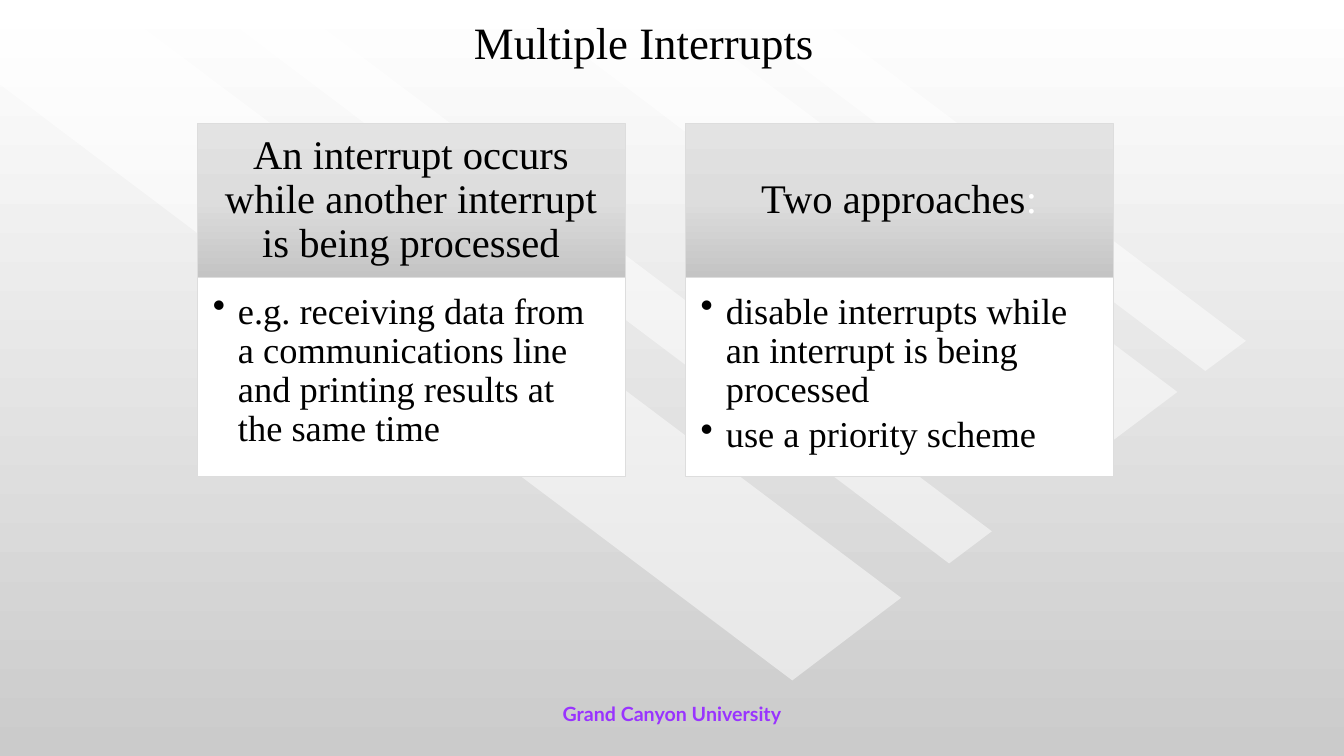
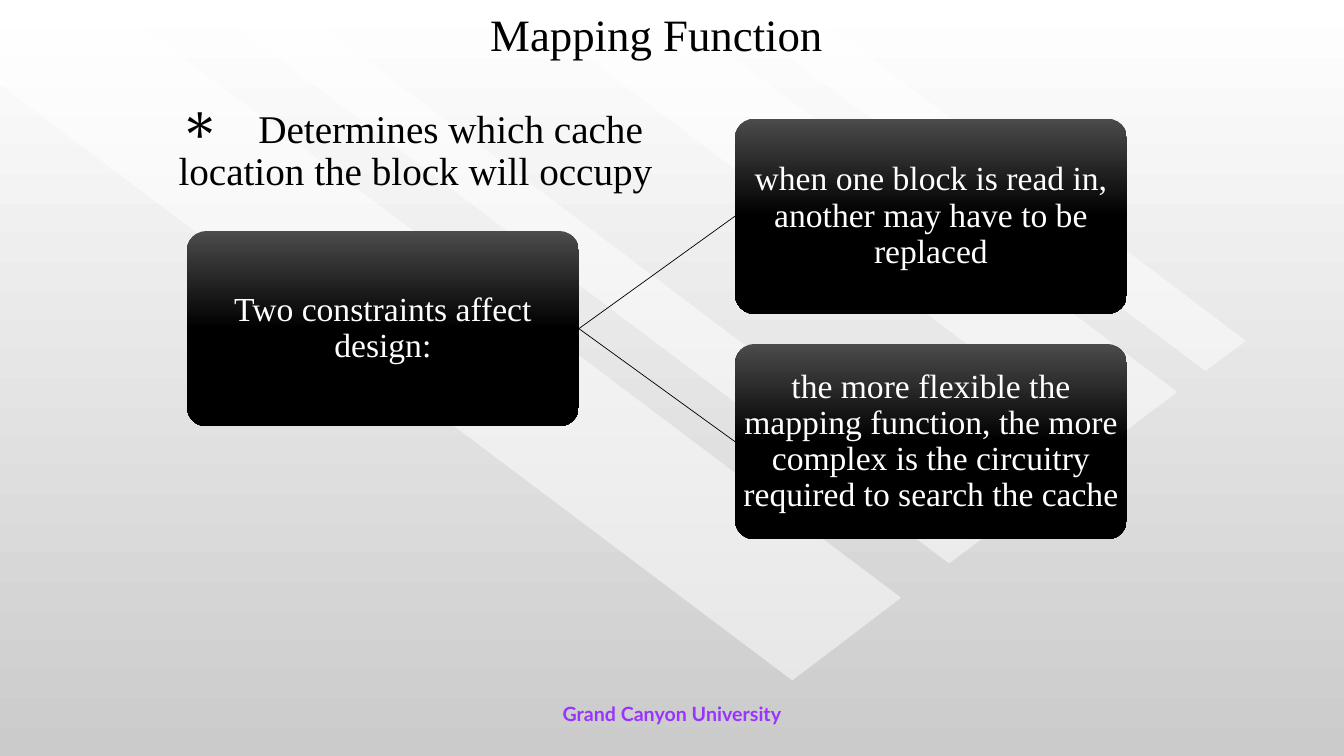
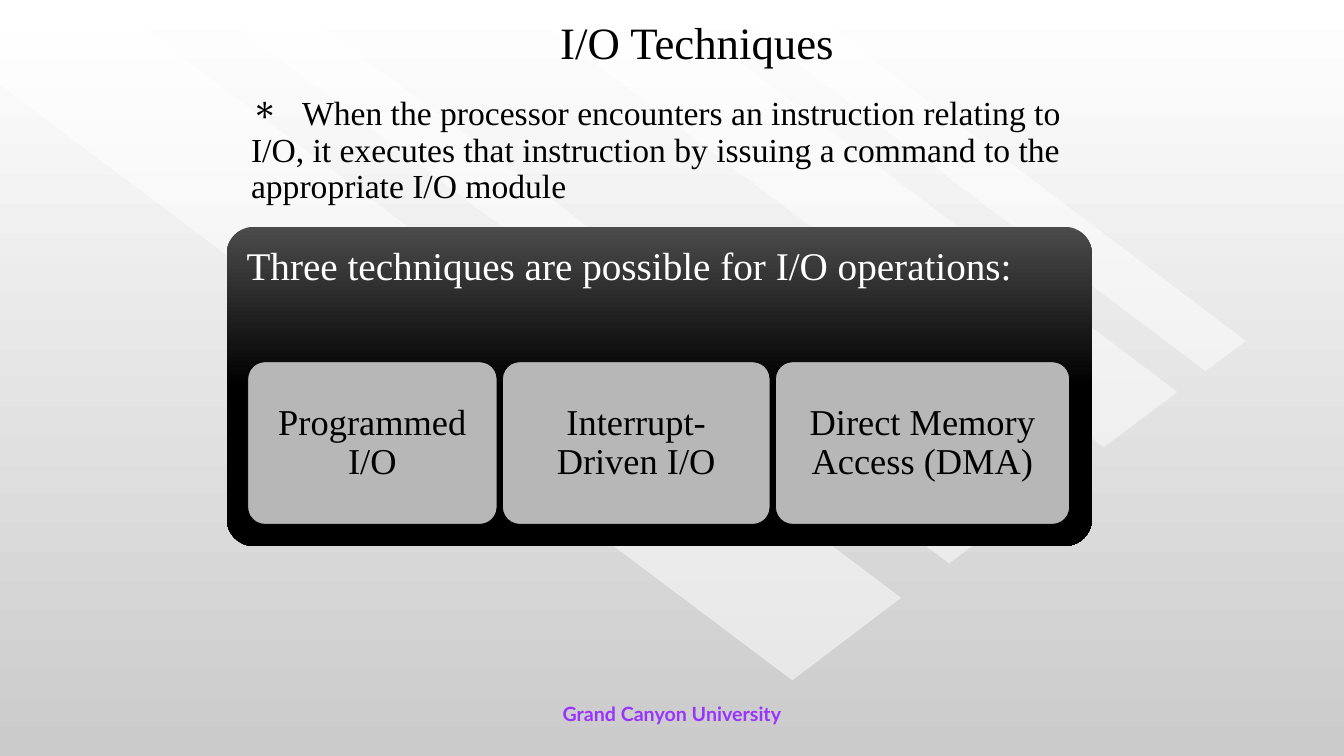
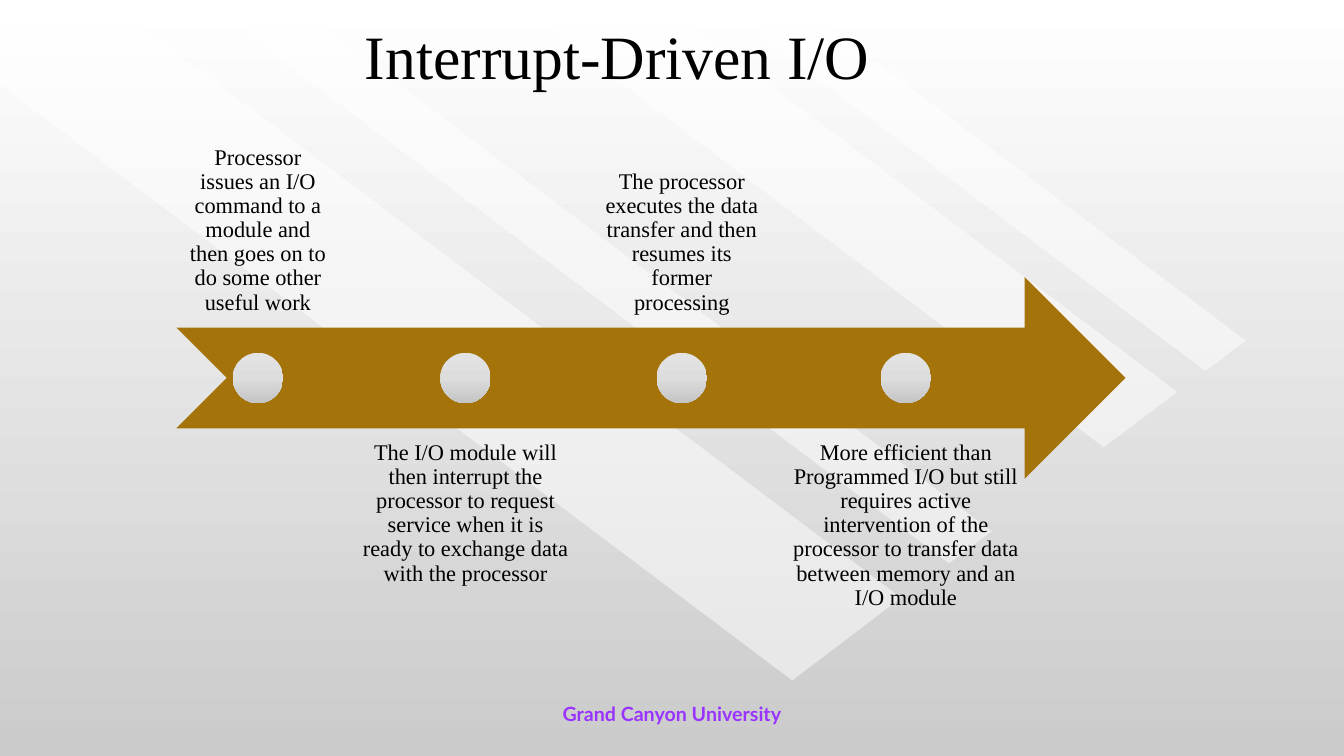
from copy import deepcopy

from pptx import Presentation
from pptx.dml.color import RGBColor
from pptx.enum import shapes, text
from pptx.oxml.ns import qn
from pptx.util import Pt

# Shared look
FONT = "Times New Roman"
BLACK, WHITE, SILVER = "000000", "FFFFFF", "CBCBCB"
EDGE, GOLD, PURPLE = "DDDDDD", "A4740A", "9933FF"
PAGE = [(0, WHITE), (1, SILVER)]
LIGHT = [(0, "E3E3E3"), (0.5, EDGE), (1, "C4C4C4")]
DARK = [(0, "4B4B4B"), (0.5, BLACK), (1, BLACK)]
BANDS = [
    [(643.7, 427), (76.3, 0), (0, 0), (0, 60.5), (566, 486)],
    [(205, 0), (708.5, 379.5), (678, 402.5), (143.5, 0)],
    [(469.5, 0), (841, 280), (788.5, 319.5), (364.5, 0)],
    [(509, 0), (861, 265), (890, 243.5), (567.5, 0)],
]
KIND = shapes.MSO_SHAPE
TOP, MID, LOW = text.MSO_ANCHOR.TOP, text.MSO_ANCHOR.MIDDLE, text.MSO_ANCHOR.BOTTOM
LEFT, MIDDLE = text.PP_ALIGN.LEFT, text.PP_ALIGN.CENTER


def color(code):
    return RGBColor.from_string(code)


# Fills
def shade(part, fill, stops):
    """Fill from top to bottom with any number of stops."""
    fill.gradient()
    fill.gradient_angle = 270
    items = next(part.element.iter(qn("a:gsLst")))
    while len(items) < len(stops):
        items.append(deepcopy(items[-1]))
    for stop, (place, code) in zip(fill.gradient_stops, stops):
        stop.position = place
        stop.color.rgb = color(code)


def paint(shape, fill, line=None, alpha=None):
    shape.shadow.inherit = False
    if isinstance(fill, list):
        shade(shape, shape.fill, fill)
    else:
        shape.fill.solid()
        shape.fill.fore_color.rgb = color(fill)
    if alpha:
        tone = next(shape.element.spPr.iter(qn("a:srgbClr")))
        add(tone, "a:alpha", val=alpha * 1000)
    if line:
        shape.line.color.rgb = color(line)
        shape.line.width = Pt(0.5)
    else:
        shape.line.fill.background()


# Text
def add(parent, tag, **values):
    child = parent.makeelement(qn(tag), {k: str(v) for k, v in values.items()})
    parent.append(child)
    return child


def style(run, size, tone=BLACK, font=FONT, bold=False):
    run.font.size = Pt(size)
    run.font.name = font
    run.font.bold = bold
    run.font.color.rgb = color(tone)


def write(shape, words, size, tone=BLACK, ins=(7.2, 3.6, 7.2, 3.6),
          anchor=MID, align=MIDDLE, space=0.9, after=0):
    """Set the text, one paragraph a line, and return its paragraphs."""
    frame = shape.text_frame
    frame.text = words
    frame.word_wrap = True
    frame.vertical_anchor = anchor
    (frame.margin_left, frame.margin_top,
     frame.margin_right, frame.margin_bottom) = map(Pt, ins)
    for para in frame.paragraphs:
        para.alignment = align
        para.line_spacing = space
        para.space_after = Pt(after)
        for run in para.runs:
            style(run, size, tone)
    return frame.paragraphs


def bullet(para, sign, hang=0, scale=100, tab=None):
    props = para._p.get_or_add_pPr()
    props.set("marL", str(Pt(hang)))
    props.set("indent", str(-Pt(hang)))
    add(props, "a:buSzPct", val=scale * 1000)
    add(props, "a:buChar", char=sign)
    if tab:
        add(add(props, "a:tabLst"), "a:tab", pos=Pt(tab), algn="l")


# Elements
def label(slide, at, words, size, **look):
    box = slide.shapes.add_textbox(*map(Pt, at))
    write(box, words, size, **look)
    return box


def block(slide, kind, at, fill, line=None, alpha=None, bend=None):
    shape = slide.shapes.add_shape(kind, *map(Pt, at))
    if bend:
        shape.adjustments[0] = bend
    paint(shape, fill, line, alpha)
    return shape


def lead(slide, at, words, size, first, tab, ins):
    """Text whose first line opens with a star and a tab."""
    box = label(slide, at, "\t", first, ins=ins, align=LEFT)
    para = box.text_frame.paragraphs[0]
    bullet(para, "∗", scale=150, tab=tab)
    run = para.add_run()
    run.text = words
    style(run, size)


def join(slide, start, end):
    line = slide.shapes.add_connector(shapes.MSO_CONNECTOR.STRAIGHT, 0, 0, 0, 0)
    line.begin_connect(start, 3)
    line.end_connect(end, 1)
    line.line.color.rgb = color(BLACK)
    line.line.width = Pt(0.5)
    add(line.element.spPr, "a:effectLst")


def backdrop(deck, slide):
    """Give the master its shading and its slanted bands."""
    master = deck.slide_master
    shade(master, master.background.fill, PAGE)
    for points in BANDS:
        start, *rest = [(Pt(x), Pt(y)) for x, y in points]
        path = slide.shapes.build_freeform(*start)
        path.add_line_segments(rest, close=True)
        band = path.convert_to_shape()
        paint(band, WHITE, alpha=50)
        master.shapes.element.append(band.element)


def page(deck, title, at, size=32):
    slide = deck.slides.add_slide(deck.slide_layouts[6])
    label(slide, at, title, size, space=1)
    foot = label(slide, (328, 492, 304, 36), "Grand Canyon University", 14, space=1)
    foot.text_frame.word_wrap = False
    style(foot.text_frame.paragraphs[0].runs[0], 14, PURPLE, "Lato", True)
    return slide


# Slides
def multiple(deck):
    slide = page(deck, "Multiple Interrupts", (310, 12, 300, 36))
    cards = [
        ("An interrupt occurs while another interrupt is being processed", "",
         "e.g. receiving data from a communications line and printing results "
         "at the same time"),
        ("Two approaches", ":",
         "disable interrupts while an interrupt is being processed\n"
         "use a priority scheme"),
    ]
    for i, (head, tail, body) in enumerate(cards):
        x = 141 + 348.5 * i
        top = block(slide, KIND.RECTANGLE, (x, 88, 305.5, 110), LIGHT, EDGE)
        para = write(top, head, 29, ins=(16.5, 9.5, 16.5, 9.5))[0]
        if tail:
            run = para.add_run()
            run.text = tail
            style(run, 29, WHITE)
        base = block(slide, KIND.RECTANGLE, (x, 198, 305.5, 142.5), WHITE, EDGE)
        for para in write(base, body, 26, ins=(11, 11, 14.5, 16.5),
                          anchor=TOP, align=LEFT, after=4):
            bullet(para, "•", hang=18)


def mapping(deck):
    slide = page(deck, "Mapping Function", (328, 0, 282, 48))
    spots = [
        (133.5, 165, "Two constraints affect design:"),
        (525, 84.7, "when one block is read in, another may have to be replaced"),
        (525, 245.7, "the more flexible the mapping function, the more complex is "
                     "the circuitry required to search the cache"),
    ]
    cards = []
    for x, y, words in spots:
        card = block(slide, KIND.ROUNDED_RECTANGLE, (x, y, 280, 139.5), DARK, bend=0.1)
        write(card, words, 24, WHITE, ins=(1.2, 1.2, 1.2, 1.2))
        cards.append(card)
    for card in cards[1:]:
        join(slide, cards[0], card)
    lead(slide, (119, 36.5, 384, 143.5),
         "Determines which cache location the block will occupy",
         28, 28, 57, (8.5, 4.3, 8.5, 4.3))


def methods(deck):
    slide = page(deck, "I/O Techniques", (375, 6, 246, 48))
    panel = block(slide, KIND.ROUNDED_RECTANGLE, (162, 162, 618, 228), DARK, bend=0.085)
    write(panel, "Three techniques are possible for I/O operations:", 28, WHITE,
          ins=(8.5, 8.5, 8.5, 8.5), anchor=TOP, align=LEFT)
    x = 177
    for width, words in [(178, "Programmed I/O"), (191, "Interrupt-Driven I/O"),
                         (210, "Direct Memory Access (DMA)")]:
        tile = block(slide, KIND.ROUNDED_RECTANGLE, (x, 258.5, width, 116),
                     SILVER, BLACK, 90, 0.105)
        write(tile, words, 26, ins=(8, 8, 8, 8))
        x += width + 4
    lead(slide, (162, 57, 636, 102),
         "When the processor encounters an instruction relating to I/O, it executes "
         "that instruction by issuing a command to the appropriate I/O module",
         24, 18, 36.5, (17.3, 0, 17.3, 0))


def driven(deck):
    slide = page(deck, "Interrupt-Driven I/O", (205, 0, 472, 78.5), 44)
    block(slide, KIND.NOTCHED_RIGHT_ARROW, (126, 198, 678, 144), GOLD)
    steps = [
        (116.5, "Processor issues an I/O command to a module and then goes on to do "
                "some other useful work"),
        (168, "The I/O module will then interrupt the processor to request service "
              "when it is ready to exchange data with the processor"),
        (129, "The processor executes the data transfer and then resumes its former "
              "processing"),
        (179, "More efficient than Programmed I/O but still requires active "
              "intervention of the processor to transfer data between memory and an "
              "I/O module"),
    ]
    x = 126
    for i, (width, words) in enumerate(steps):
        y, anchor = [(90, LOW), (306, TOP)][i % 2]
        label(slide, (x, y, width, 144), words, 16,
              ins=(9, 9, 9, 9), anchor=anchor)
        block(slide, KIND.OVAL, (x + width / 2 - 18, 252, 36, 36), LIGHT)
        x += width + 6


def main():
    deck = Presentation()
    deck.slide_width, deck.slide_height = Pt(960), Pt(540)
    for build in (multiple, mapping, methods, driven):
        build(deck)
    backdrop(deck, deck.slides[0])
    deck.save("out.pptx")


if __name__ == "__main__":
    main()
